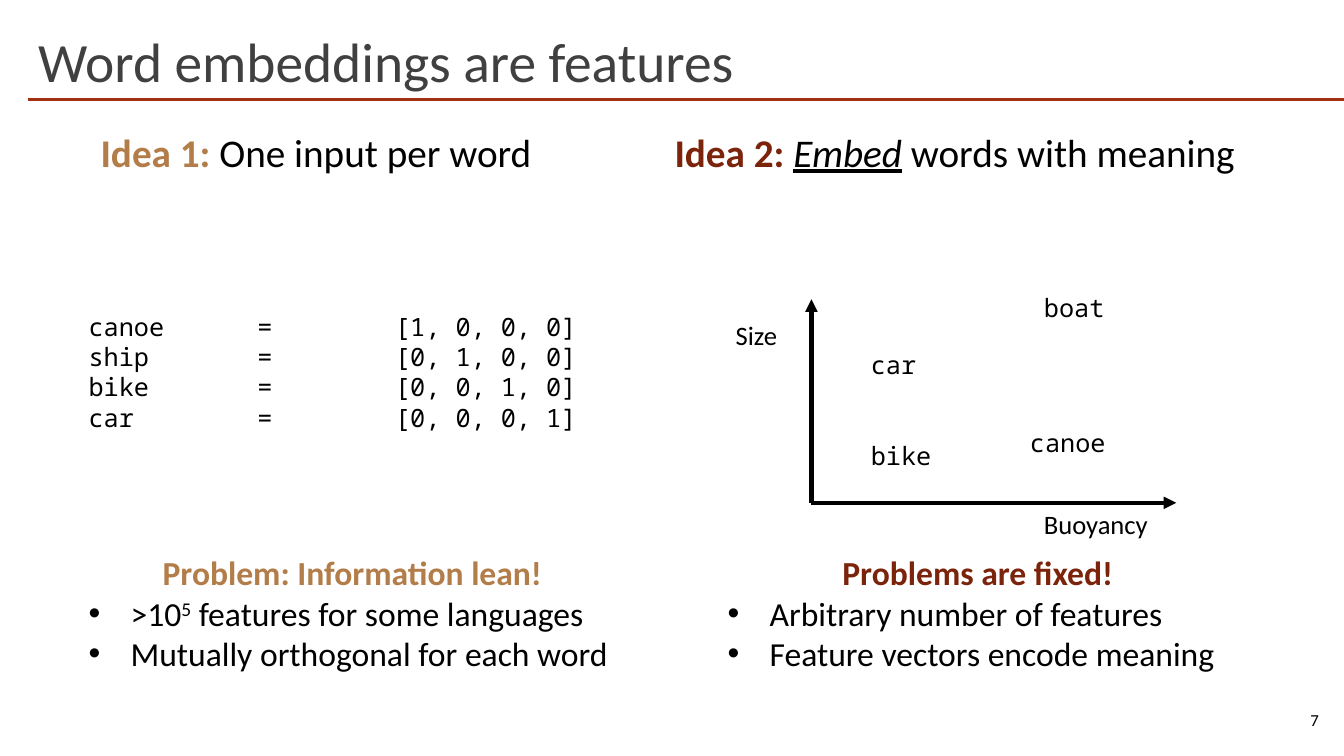
import pptx
import pptx.util
import pptx.dml.color
import pptx.enum.shapes
import pptx.enum.text
import pptx.oxml
import pptx.oxml.ns

Pt = pptx.util.Pt
RGBColor = pptx.dml.color.RGBColor
ALIGN = pptx.enum.text.PP_ALIGN
ANCHOR = pptx.enum.text.MSO_ANCHOR

BLACK = RGBColor(0x00, 0x00, 0x00)
TITLE_GREY = RGBColor(0x40, 0x40, 0x40)
RULE_RED = RGBColor(0xA5, 0x30, 0x0F)
TAN = RGBColor(0xB2, 0x7D, 0x49)
MAROON = RGBColor(0x7C, 0x24, 0x0B)
SANS, MONO = "Calibri", "Noto Sans Mono"


def add_xml(parent, tag, **attributes):
    element = pptx.oxml.parse_xml(f"<a:{tag} {pptx.oxml.ns.nsdecls('a')}/>")
    for key, value in attributes.items():
        element.set(key, str(value))
    parent.append(element)
    return element


def add_box(slide, left, top, width, height, wrap=False, anchor=ANCHOR.TOP):
    """Return the text frame of a new text box, lengths in points."""
    frame = slide.shapes.add_textbox(Pt(left), Pt(top), Pt(width), Pt(height)).text_frame
    frame.word_wrap = wrap
    frame.vertical_anchor = anchor
    if anchor == ANCHOR.TOP:
        frame.auto_size = pptx.enum.text.MSO_AUTO_SIZE.SHAPE_TO_FIT_TEXT
    return frame


def style(paragraph, size, face=SANS, color=BLACK, bold=False):
    font = paragraph.font
    font.name, font.size, font.bold = face, Pt(size), bold
    font.color.rgb = color


def add_run(paragraph, text, color=BLACK, bold=False):
    run = paragraph.add_run()
    run.text = text
    run.font.color.rgb = color
    run.font.bold = bold
    return run


def add_label(slide, left, top, width, height, text, size, face=SANS):
    paragraph = add_box(slide, left, top, width, height).paragraphs[0]
    paragraph.text = text
    style(paragraph, size, face)


def add_line(slide, start, end, color, weight, arrow=False):
    line = slide.shapes.add_connector(
        pptx.enum.shapes.MSO_CONNECTOR.STRAIGHT, *map(Pt, start + end))
    line.line.color.rgb = color
    line.line.width = Pt(weight)
    if arrow:
        add_xml(line.line._get_or_add_ln(), "tailEnd", type="triangle")
    add_xml(line._element.spPr, "effectLst")


def add_frame(slide, left, top, width, height):
    """Title, rule and page number within the given box."""
    rule_y = top + 50.4
    add_line(slide, (left, rule_y), (left + width, rule_y), RULE_RED, 2.25)
    title = add_box(slide, left, top, width - 20, 50.4, True, ANCHOR.MIDDLE).paragraphs[0]
    title.text = "Word embeddings are features"
    title.line_spacing = 0.9
    style(title, 39.6, color=TITLE_GREY)

    number = add_box(slide, left + width - 145.5, top + height - 28.8, 134.6, 28.8,
                     True, ANCHOR.MIDDLE).paragraphs[0]
    number.text = "7"
    number.alignment = ALIGN.RIGHT
    style(number, 12)


def add_heading(slide, left, top, width, label, color, parts, align=ALIGN.LEFT):
    """Heading line: coloured label, then (text, emphasised) parts."""
    paragraph = add_box(slide, left, top, width, 41).paragraphs[0]
    paragraph.alignment = align
    paragraph.font.name, paragraph.font.size = SANS, Pt(28)
    add_run(paragraph, label, color, True)
    for text, emphasised in parts:
        font = add_run(paragraph, text).font
        font.italic = font.underline = emphasised


def add_verdict(slide, left, top, width, claim, color, bullets):
    """Centred claim over bullets; each bullet lists (text, raised) parts."""
    frame = add_box(slide, left, top, width, 94.3)
    heading = frame.paragraphs[0]
    heading.text = claim
    heading.alignment = ALIGN.CENTER
    style(heading, 24, color=color, bold=True)
    for parts in bullets:
        bullet = frame.add_paragraph()
        properties = bullet._p.get_or_add_pPr()
        properties.set("marL", str(Pt(30)))
        properties.set("indent", str(-Pt(30)))
        add_xml(properties, "buFont", typeface="Arial")
        add_xml(properties, "buChar", char="•")
        style(bullet, 24)
        for text, raised in parts:
            run = bullet.add_run()
            run.text = text
            if raised:
                run._r.get_or_add_rPr().set("baseline", "30000")


def add_one_hot(slide, left, top, width, height):
    """One line per word, each with its one-hot vector."""
    frame = add_box(slide, left, top, width, height, wrap=True)
    words = ["canoe ", "ship", "bike", "car"]
    for i, word in enumerate(words):
        line = frame.paragraphs[0] if i == 0 else frame.add_paragraph()
        vector = [int(i == j) for j in range(len(words))]
        line.text = f"{word}\t=\t{vector}"
        tabs = add_xml(line._p.get_or_add_pPr(), "tabLst")
        add_xml(tabs, "tab", pos=Pt(126), algn="ctr")
        add_xml(tabs, "tab", pos=Pt(348.5), algn="r")
        style(line, 18, MONO)


def add_embedding_plot(slide, left, top, width, height):
    """Words placed by size and buoyancy; the box spans the two axes."""
    origin = (left, top + height)
    add_line(slide, origin, (left + width, top + height), BLACK, 3, arrow=True)
    add_line(slide, origin, (left, top), BLACK, 3, arrow=True)
    add_label(slide, left + 159, top + height, 104.4, 30.2, "Buoyancy", 19)
    add_label(slide, left - 61.2, top + 10.8, 51.8, 30.2, "Size", 19)
    for word, dx, dy, word_width in [("canoe", 149, 87.8, 87.8), ("boat", 159, -8.6, 73.4),
                                     ("car", 35.3, 32.4, 58.3), ("bike", 35.3, 97.2, 73.4)]:
        add_label(slide, left + dx, top + dy, word_width, 36, word, 18, MONO)


def add_idea_one(slide, left, top):
    add_heading(slide, left + 8.6, top, 326.9, "Idea 1: ", TAN,
                [("One input per word", False)])
    add_one_hot(slide, left, top + 131, 383.8, 123.8)
    add_verdict(slide, left, top + 303.1, 391, "Problem: Information lean!", TAN,
                [[(">10", False), ("5", True), (" features for some languages", False)],
                 [("Mutually orthogonal for each word", False)]])


def add_idea_two(slide, left, top):
    add_heading(slide, left, top, 421.9, "Idea 2: ", MAROON,
                [("Embed", True), (" words with meaning", False)], ALIGN.CENTER)
    add_embedding_plot(slide, left + 108.7, top + 126, 260.6, 145.4)
    add_verdict(slide, left + 41.8, top + 303.1, 371.5, "Problems are fixed!", MAROON,
                [[("Arbitrary number of features", False)],
                 [("Feature vectors encode meaning", False)]])


def main():
    deck = pptx.Presentation()
    deck.slide_width, deck.slide_height = Pt(960), Pt(540)
    slide = deck.slides.add_slide(deck.slide_layouts[6])
    add_frame(slide, 20.2, 20.9, 939.8, 507.6)
    add_idea_one(slide, 56.2, 87.8)
    add_idea_two(slide, 470.9, 87.8)
    deck.save("out.pptx")


if __name__ == "__main__":
    main()
